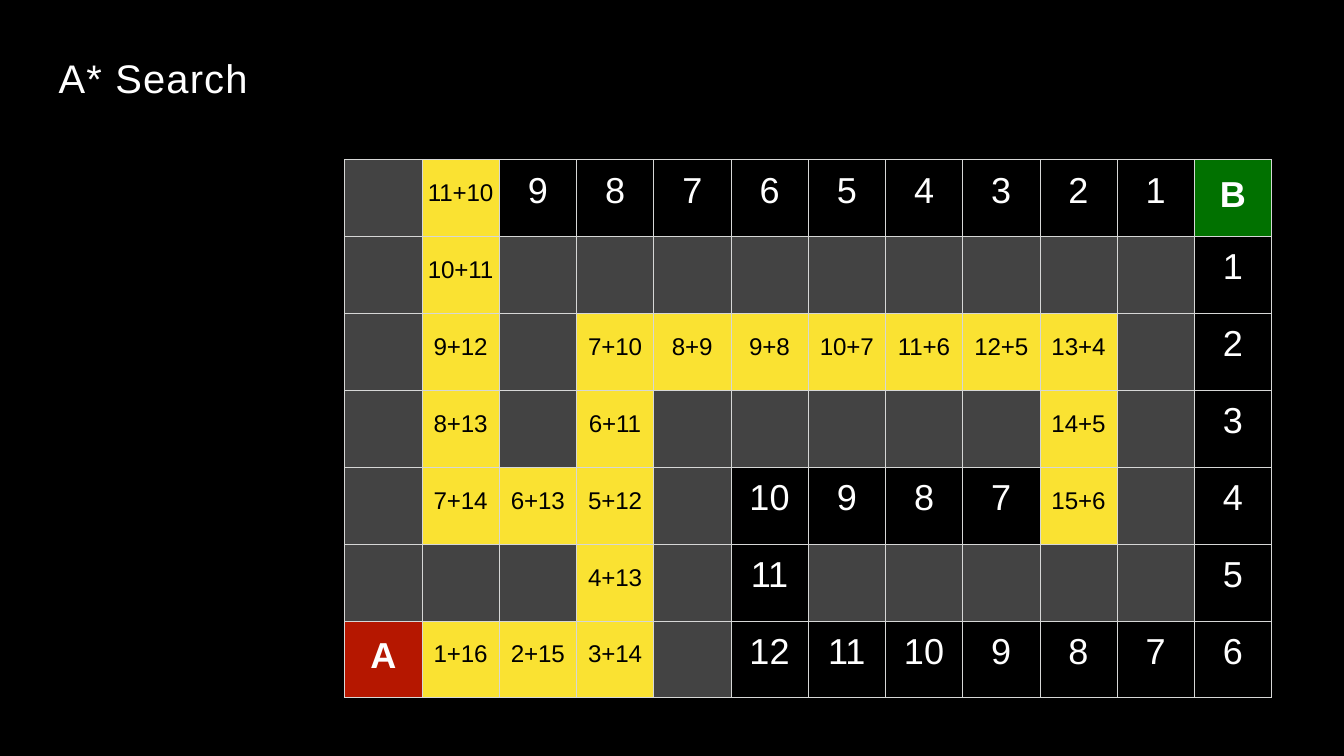
from lxml.etree import SubElement
from pptx import Presentation
from pptx.dml.color import RGBColor
from pptx.enum.text import PP_ALIGN
from pptx.oxml.ns import qn
from pptx.util import Inches, Pt

SLIDE_WIDTH, SLIDE_HEIGHT = 21.99, 12.37
MAZE_LEFT, MAZE_TOP, MAZE_WIDTH, MAZE_HEIGHT = 5.64, 2.61, 15.17, 8.81
BLACK, WHITE, BORDER = "000000", "FFFFFF", "D6D7D6"
WALL = "#"
MAZE = [
    "# 11+10 9 8 7 6 5 4 3 2 1 B",
    "# 10+11 # # # # # # # # # 1",
    "# 9+12 # 7+10 8+9 9+8 10+7 11+6 12+5 13+4 # 2",
    "# 8+13 # 6+11 # # # # # 14+5 # 3",
    "# 7+14 6+13 5+12 # 10 9 8 7 15+6 # 4",
    "# # # 4+13 # 11 # # # # # 5",
    "A 1+16 2+15 3+14 # 12 11 10 9 8 7 6",
]
SPECIAL_FILLS = {WALL: "434343", "A": "B51700", "B": "017100"}


def color(value):
    return RGBColor.from_string(value)


def format_span(span, size, font_color, spacing=0, bold=False):
    span.font.name = "Arial"
    span.font.size = Pt(size)
    span.font.bold = bold
    span.font.color.rgb = color(font_color)
    span._r.get_or_add_rPr().set("spc", str(round(spacing * 100)))


def add_title(page, text):
    box = page.shapes.add_textbox(
        Inches(0.96), Inches(0.86), Inches(3.15), Inches(0.81)
    )
    frame = box.text_frame
    frame.margin_left = frame.margin_right = frame.margin_bottom = 0
    frame.margin_top = Inches(0.01)
    frame.word_wrap = False
    frame.text = text
    format_span(frame.paragraphs[0].runs[0], 47, WHITE, 1.4)


def add_borders(cell):
    properties = cell._tc.get_or_add_tcPr()
    for side in ("a:lnL", "a:lnR", "a:lnT", "a:lnB"):
        line = SubElement(properties, qn(side), w=str(Pt(1)))
        fill = SubElement(line, qn("a:solidFill"))
        SubElement(fill, qn("a:srgbClr"), val=BORDER)


def fill_cell(cell, background):
    add_borders(cell)
    cell.fill.solid()
    cell.fill.fore_color.rgb = color(background)


def write_cell(cell, text, top, **style):
    cell.margin_left = cell.margin_right = cell.margin_bottom = 0
    cell.margin_top = Inches(top)
    cell.text = text
    para = cell.text_frame.paragraphs[0]
    para.alignment = PP_ALIGN.CENTER
    format_span(para.runs[0], **style)


def draw_square(cell, label):
    explored = "+" in label
    fill_cell(cell, "FAE232" if explored else SPECIAL_FILLS.get(label, BLACK))
    if explored:
        write_cell(cell, label, 0.33, size=28.5, font_color=BLACK, spacing=-0.15)
    elif label != WALL:
        endpoint = label in SPECIAL_FILLS
        write_cell(cell, label, 0.25 if endpoint else 0.18,
                   size=42.5, font_color=WHITE, bold=endpoint)


def add_maze(page, rows):
    squares = [row.split() for row in rows]
    table = page.shapes.add_table(
        len(squares), len(squares[0]), Inches(MAZE_LEFT), Inches(MAZE_TOP),
        Inches(MAZE_WIDTH), Inches(MAZE_HEIGHT)
    ).table
    table.first_row = table.horz_banding = False
    for row_index, labels in enumerate(squares):
        for column_index, label in enumerate(labels):
            draw_square(table.cell(row_index, column_index), label)


def main():
    deck = Presentation()
    deck.slide_width = Inches(SLIDE_WIDTH)
    deck.slide_height = Inches(SLIDE_HEIGHT)
    page = deck.slides.add_slide(deck.slide_layouts[6])
    page.background.fill.solid()
    page.background.fill.fore_color.rgb = color(BLACK)
    add_maze(page, MAZE)
    add_title(page, "A* Search")
    deck.save("out.pptx")


if __name__ == "__main__":
    main()
